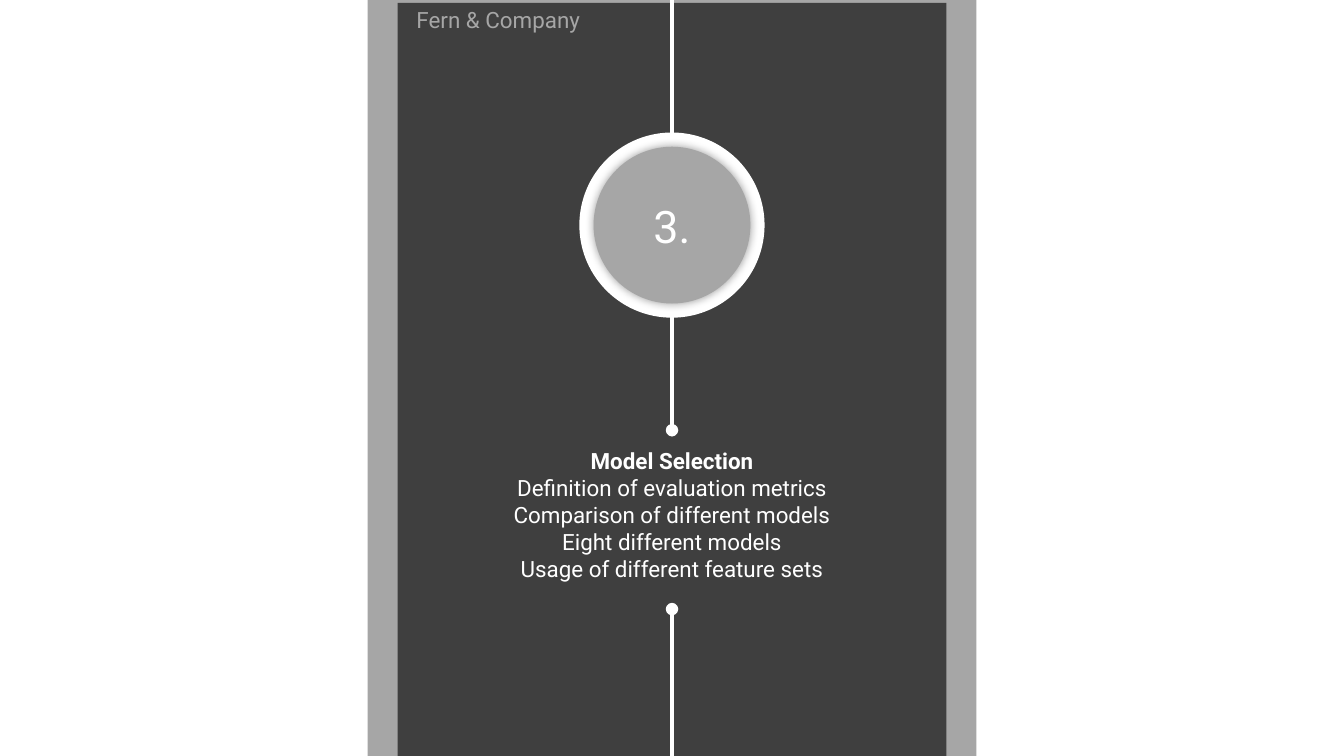
from lxml import etree
from pptx import Presentation
from pptx.dml.color import RGBColor
from pptx.enum import shapes, text
from pptx.oxml import ns
from pptx.util import Pt

WIDE, HIGH = 720, 405
MID = WIDE / 2
WHITE, GREY, DARK, BLACK = "FFFFFF", "A6A6A6", "262626", "000000"


def hue(code):
    return RGBColor.from_string(code)


def add(parent, tag, **attrs):
    """Append a DrawingML child element."""
    return etree.SubElement(parent, ns.qn("a:" + tag), attrs)


class Page:
    """Holds the style and the current slide."""

    font = "Roboto"
    stroke = 2.25

    def __init__(self, slide):
        self.slide = slide

    def shape(self, kind, left, top, width, height, fill, alpha=None):
        item = self.slide.shapes.add_shape(
            kind, Pt(left), Pt(top), Pt(width), Pt(height))
        item.shadow.inherit = False
        item.fill.solid()
        item.fill.fore_color.rgb = hue(fill)
        item.line.fill.background()
        if alpha:
            color = item._element.spPr.find(".//" + ns.qn("a:srgbClr"))
            add(color, "alpha", val=str(alpha * 1000))
        return item

    def panel(self, top, width, fill, alpha=None):
        return self.shape(shapes.MSO_SHAPE.RECTANGLE, MID - width / 2, top,
                          width, HIGH - top, fill, alpha)

    def disc(self, y, size, fill):
        return self.shape(shapes.MSO_SHAPE.OVAL, MID - size / 2, y - size / 2,
                          size, size, fill)

    def glow(self, item, blur, alpha):
        """Give a shape a soft, centred shadow."""
        effects = item._element.spPr.find(ns.qn("a:effectLst"))
        shade = add(effects, "outerShdw", blurRad=str(Pt(blur)), dist="0",
                    dir="0", algn="ctr", rotWithShape="0")
        add(add(shade, "srgbClr", val=BLACK), "alpha", val=str(alpha * 1000))

    def line(self, start, end, dot=None):
        """Draw a vertical line; dot is headEnd, tailEnd or None."""
        item = self.slide.shapes.add_connector(
            shapes.MSO_CONNECTOR.STRAIGHT, Pt(MID), Pt(start), Pt(MID), Pt(end))
        item.line.width = Pt(self.stroke)
        item.line.color.rgb = hue(WHITE)
        props = item._element.spPr
        if dot:
            add(props.find(ns.qn("a:ln")), dot, type="oval")
        add(props, "effectLst")

    def words(self, item, copy, size, color):
        """Set centred text on a shape or text box."""
        frame = item.text_frame
        frame.text = copy
        for para in frame.paragraphs:
            para.alignment = text.PP_ALIGN.CENTER
            for run in para.runs:
                run.font.name = self.font
                run.font.size = Pt(size)
                run.font.color.rgb = hue(color)
        return frame

    def label(self, left, top, width, height, copy, color):
        box = self.slide.shapes.add_textbox(
            Pt(left), Pt(top), Pt(width), Pt(height))
        frame = self.words(box, copy, 12, color)
        frame.word_wrap = True
        return frame


def main():
    deck = Presentation()
    deck.slide_width, deck.slide_height = Pt(WIDE), Pt(HIGH)
    page = Page(deck.slides.add_slide(deck.slide_layouts[6]))

    page.panel(0, 326, GREY)
    page.panel(1.5, 294, DARK, alpha=80)

    page.line(326.3, HIGH, "headEnd")
    page.line(158, 230.5, "tailEnd")
    page.line(0, 76)

    page.disc(120.6, 99.2, WHITE)
    badge = page.disc(120.6, 84, GREY)
    page.glow(badge, blur=5, alpha=40)
    frame = page.words(badge, "3.", 24, WHITE)
    frame.vertical_anchor = text.MSO_ANCHOR.MIDDLE
    frame.margin_left = frame.margin_right = 0

    steps = [
        "Model Selection",
        "Definition of evaluation metrics",
        "Comparison of different models",
        "Eight different models",
        "Usage of different feature sets",
    ]
    frame = page.label(MID - 138, 232.6, 276, 100, "\n".join(steps), WHITE)
    frame.margin_top = frame.margin_bottom = Pt(7.2)
    frame.paragraphs[0].runs[0].font.bold = True

    page.label(213, 0, 108, 27, "Fern & Company", GREY)

    deck.save("out.pptx")


if __name__ == "__main__":
    main()
